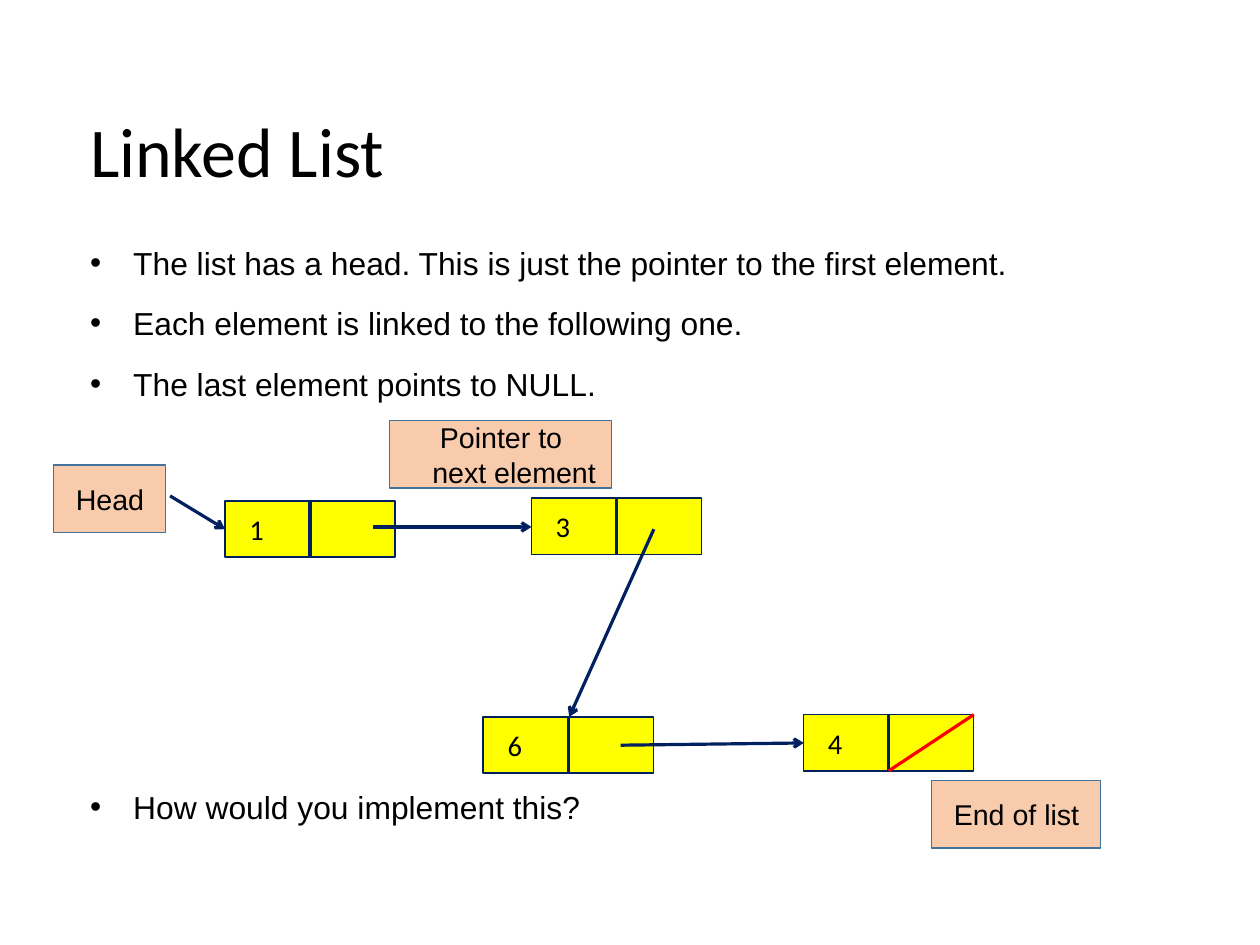
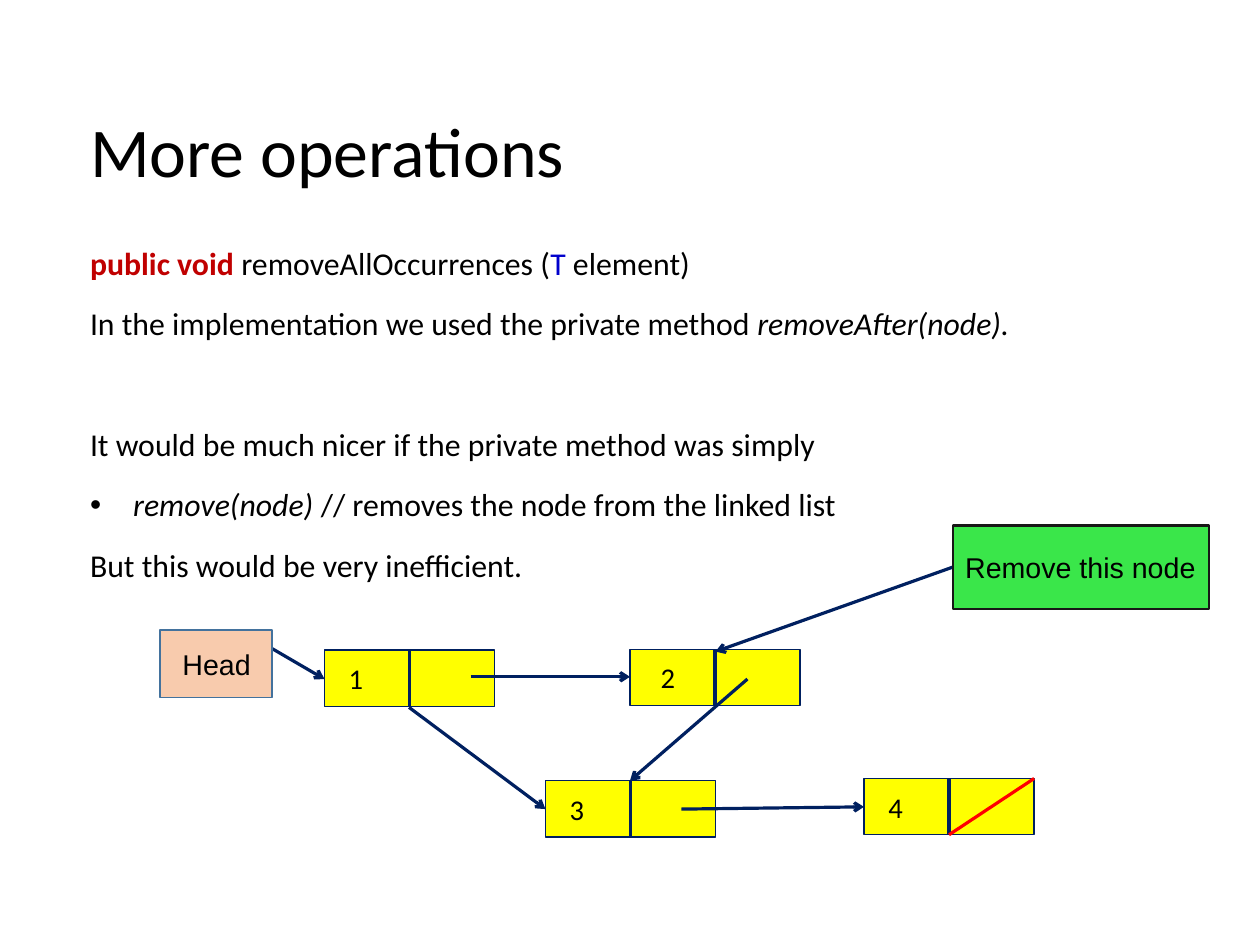
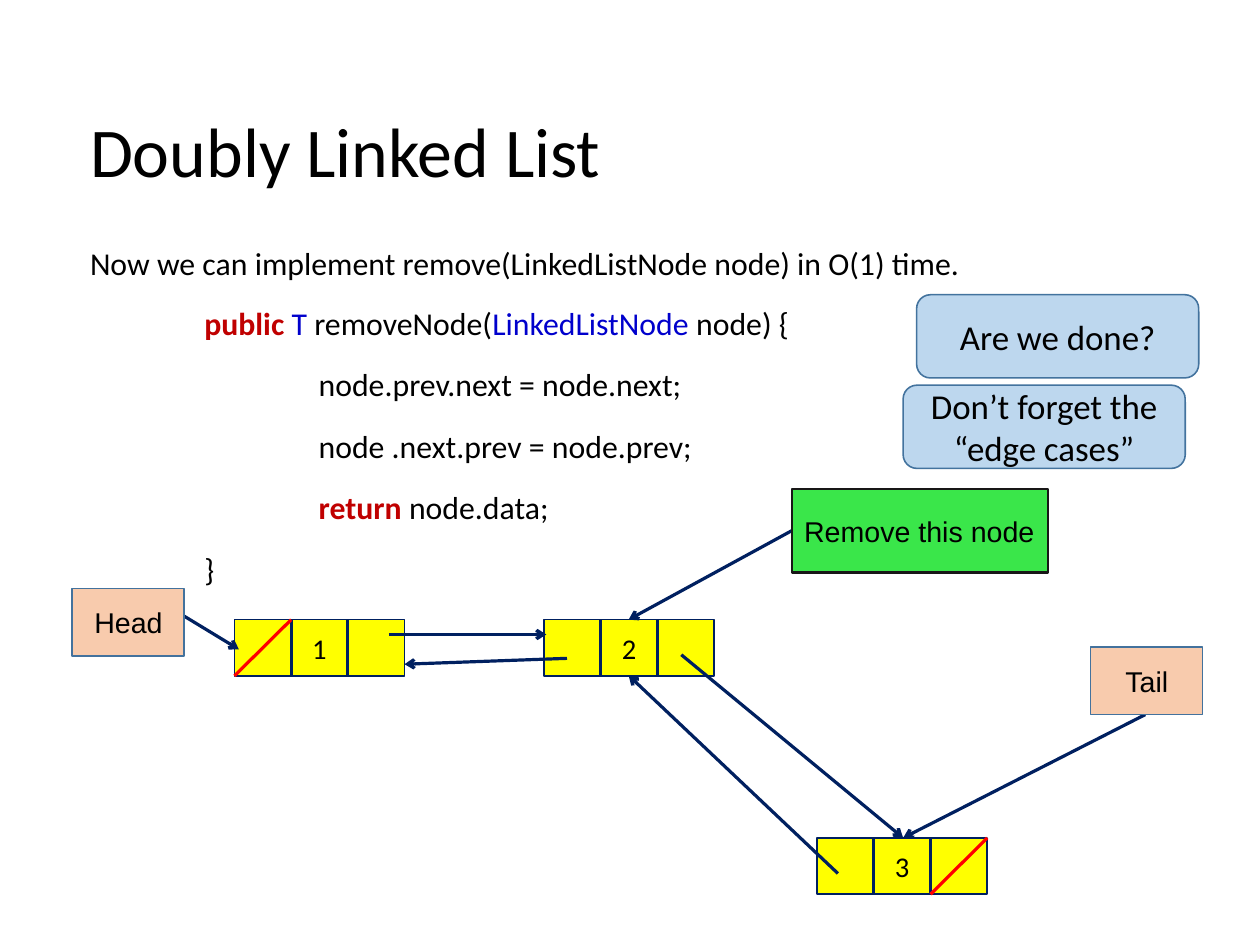
from dataclasses import dataclass

from lxml import etree
from pptx import Presentation
from pptx.dml.color import RGBColor
from pptx.enum.shapes import MSO_CONNECTOR, MSO_SHAPE
from pptx.enum.text import MSO_ANCHOR, MSO_AUTO_SIZE, PP_ALIGN
from pptx.oxml.ns import qn
from pptx.util import Cm, Pt

STRAIGHT = MSO_CONNECTOR.STRAIGHT
RECTANGLE = MSO_SHAPE.RECTANGLE
ROUNDED = MSO_SHAPE.ROUNDED_RECTANGLE
MIDDLE, TOP = MSO_ANCHOR.MIDDLE, MSO_ANCHOR.TOP
LEFT, CENTER = PP_ALIGN.LEFT, PP_ALIGN.CENTER
NO_AUTOFIT = MSO_AUTO_SIZE.NONE


@dataclass(frozen=True)
class Theme:
    black: str = "000000"
    keyword: str = "C00000"
    type_name: str = "0000CC"
    navy: str = "002060"
    null_slash: str = "FF0000"
    node_fill: str = "FFFF00"
    heading_font: str = "Calibri"
    label_font: str = "Arial"
    title_size: float = 44
    body_size: float = 20
    label_size: float = 18
    remark_size: float = 22
    line_height: float = 23.9
    paragraph_gap: float = 14.2
    code_gap: float = 14.8
    connector_width: float = 2


THEME = Theme()
LINE_PITCH = THEME.line_height + THEME.paragraph_gap
NODE_WIDTH, NODE_HEIGHT = 3.78, 1.25
CODE_INDENT = 2.54
BULLET_INDENT = 0.96


@dataclass(frozen=True)
class BoxStyle:
    preset: MSO_SHAPE
    fill: str
    line: str
    line_width: float
    font: str
    size: float
    alignment: PP_ALIGN = CENTER
    hanging: bool = False


NODE = BoxStyle(RECTANGLE, THEME.node_fill, THEME.navy, 1, THEME.heading_font, THEME.label_size)
POINTER = BoxStyle(RECTANGLE, "F8CBAD", "43729D", 1, THEME.label_font, THEME.label_size, hanging=True)
REMOVAL = BoxStyle(RECTANGLE, "3AE64A", "181717", 1.5, THEME.label_font, THEME.label_size, LEFT, True)
REMARK = BoxStyle(ROUNDED, "BDD7EE", "43739E", 1, THEME.heading_font, THEME.remark_size)


@dataclass(frozen=True)
class Run:
    text: str
    color: str = THEME.black
    bold: bool = False
    italic: bool = False


@dataclass(frozen=True)
class Line:
    runs: tuple[Run, ...]
    bullet: bool = False
    indent: float = 0
    skipped_lines: int = 0
    gap: float = THEME.paragraph_gap


@dataclass(frozen=True)
class Node:
    left: float
    top: float
    value: str
    cells: int = 2
    null_cell: int | None = None
    label_inset: float = 0.54


@dataclass(frozen=True)
class Arrow:
    start: tuple[float, float]
    end: tuple[float, float]


@dataclass(frozen=True)
class Callout:
    left: float
    top: float
    text: str
    style: BoxStyle = POINTER
    width: float = 2.49
    height: float = 1.5


@dataclass(frozen=True)
class ListSlide:
    title: str
    lines: tuple[Line, ...]
    nodes: tuple[Node, ...]
    arrows: tuple[Arrow, ...]
    callouts: tuple[Callout, ...]
    body_font: str = THEME.heading_font


def keyword(text: str) -> Run:
    return Run(text, THEME.keyword, bold=True)


def type_name(text: str) -> Run:
    return Run(text, THEME.type_name)


def italic(text: str) -> Run:
    return Run(text, italic=True)


def plain(text: str, bullet: bool = False, skipped_lines: int = 0) -> Line:
    return Line((Run(text),), bullet, skipped_lines=skipped_lines)


def code(depth: int, *runs: Run) -> Line:
    return Line(runs, indent=depth * CODE_INDENT, gap=THEME.code_gap)


def removal(left: float, top: float) -> Callout:
    return Callout(left, top, "Remove this node", REMOVAL, 5.69, 1.85)


def remark(left: float, top: float, text: str) -> Callout:
    return Callout(left, top, text, REMARK, 6.27, 1.85)


def set_font(font, name: str, size: float, color: str = THEME.black) -> None:
    font.name = name
    font.size = Pt(size)
    font.color.rgb = RGBColor.from_string(color)


def set_indent(paragraph, margin: float, first_line: float) -> None:
    properties = paragraph._p.get_or_add_pPr()
    properties.set("marL", str(Cm(margin)))
    properties.set("indent", str(Cm(first_line)))


def place_placeholder(shape, top: float, width: float, height: float, anchor: MSO_ANCHOR) -> None:
    shape.left, shape.top = Cm(2), Cm(top)
    shape.width, shape.height = Cm(width), Cm(height)
    frame = shape.text_frame
    frame.margin_left = frame.margin_right = frame.margin_top = frame.margin_bottom = 0
    frame.vertical_anchor = anchor
    frame.auto_size = NO_AUTOFIT
    frame.word_wrap = True


def write_title(slide, text: str) -> None:
    title = slide.shapes.title
    place_placeholder(title, 1.9, 23.5, 2.84, MIDDLE)
    title.text_frame.text = text
    paragraph = title.text_frame.paragraphs[0]
    paragraph.alignment = LEFT
    set_font(paragraph.font, THEME.heading_font, THEME.title_size)


def write_line(paragraph, line: Line, font_name: str) -> None:
    paragraph.line_spacing = Pt(THEME.line_height)
    paragraph.space_before = Pt(line.skipped_lines * LINE_PITCH)
    paragraph.space_after = Pt(line.gap)
    properties = paragraph._p.get_or_add_pPr()
    if line.bullet:
        set_indent(paragraph, BULLET_INDENT, -BULLET_INDENT)
        etree.SubElement(properties, qn("a:buFont")).set("typeface", THEME.label_font)
        etree.SubElement(properties, qn("a:buChar")).set("char", "•")
    else:
        set_indent(paragraph, line.indent, 0)
        etree.SubElement(properties, qn("a:buNone"))
    set_font(paragraph.font, font_name, THEME.body_size)
    for part in line.runs:
        run = paragraph.add_run()
        run.text = part.text
        if part.color != THEME.black:
            run.font.color.rgb = RGBColor.from_string(part.color)
        if part.bold:
            run.font.bold = True
        if part.italic:
            run.font.italic = True


def write_body(slide, lines: tuple[Line, ...], font_name: str) -> None:
    body = slide.placeholders[1]
    place_placeholder(body, 5.41, 24.59, 13.23, TOP)
    frame = body.text_frame
    for index, line in enumerate(lines):
        paragraph = frame.add_paragraph() if index else frame.paragraphs[0]
        write_line(paragraph, line, font_name)


def draw_box(slide, left: float, top: float, width: float, height: float, text: str, style: BoxStyle):
    shape = slide.shapes.add_shape(style.preset, Cm(left), Cm(top), Cm(width), Cm(height))
    shape.shadow.inherit = False
    shape.fill.solid()
    shape.fill.fore_color.rgb = RGBColor.from_string(style.fill)
    shape.line.color.rgb = RGBColor.from_string(style.line)
    shape.line.width = Pt(style.line_width)
    frame = shape.text_frame
    frame.word_wrap = True
    frame.vertical_anchor = MIDDLE
    frame.text = text
    paragraph = frame.paragraphs[0]
    paragraph.alignment = style.alignment
    if style.hanging:
        set_indent(paragraph, 0.6, -0.58)
    set_font(paragraph.font, style.font, style.size)
    return shape


def draw_line(slide, start: tuple[float, float], end: tuple[float, float],
              color: str = THEME.navy, arrowhead: bool = False) -> None:
    connector = slide.shapes.add_connector(STRAIGHT, *(Cm(value) for value in (*start, *end)))
    connector.line.color.rgb = RGBColor.from_string(color)
    connector.line.width = Pt(THEME.connector_width)
    properties = connector._element.spPr
    if arrowhead:
        etree.SubElement(properties.find(qn("a:ln")), qn("a:tailEnd")).set("type", "arrow")
    etree.SubElement(properties, qn("a:effectLst"))


def draw_node(slide, node: Node) -> None:
    box = draw_box(slide, node.left, node.top, NODE_WIDTH, NODE_HEIGHT, node.value, NODE)
    if node.cells == 2:
        box.text_frame.paragraphs[0].alignment = LEFT
        box.text_frame.margin_left = Cm(node.label_inset)
    bottom = node.top + NODE_HEIGHT
    edges = [node.left + NODE_WIDTH * index / node.cells for index in range(node.cells + 1)]
    for divider in edges[1:-1]:
        draw_line(slide, (divider, node.top), (divider, bottom))
    if node.null_cell is not None:
        cell_left, cell_right = edges[node.null_cell:node.null_cell + 2]
        draw_line(slide, (cell_right, node.top), (cell_left, bottom), THEME.null_slash)


def draw_slide(presentation, content: ListSlide) -> None:
    slide = presentation.slides.add_slide(presentation.slide_layouts[1])
    write_title(slide, content.title)
    write_body(slide, content.lines, content.body_font)
    for node in content.nodes:
        draw_node(slide, node)
    for arrow in content.arrows:
        draw_line(slide, arrow.start, arrow.end, arrowhead=True)
    for callout in content.callouts:
        draw_box(slide, callout.left, callout.top, callout.width, callout.height,
                 callout.text, callout.style)


SLIDES = (
    ListSlide(
        "Linked List",
        (
            plain("The list has a head. This is just the pointer to the first element.", True),
            plain("Each element is linked to the following one.", True),
            plain("The last element points to NULL.", True),
            plain("How would you implement this?", True, skipped_lines=6),
        ),
        (
            Node(5, 11.13, "1"),
            Node(11.81, 11.07, "3"),
            Node(10.74, 15.93, "6"),
            Node(17.86, 15.88, "4", null_cell=1),
        ),
        (
            Arrow((3.78, 11.02), (5, 11.76)),
            Arrow((8.28, 11.71), (11.81, 11.71)),
            Arrow((14.53, 11.76), (12.65, 15.93)),
            Arrow((13.79, 16.56), (17.86, 16.51)),
        ),
        (
            Callout(1.19, 10.34, "Head"),
            Callout(8.66, 9.35, "Pointer to\vnext element", width=4.93),
            Callout(20.7, 17.35, "End of list", width=3.76),
        ),
        THEME.label_font,
    ),
    ListSlide(
        "More operations",
        (
            Line((keyword("public void "), Run("removeAllOccurrences ("), type_name("T"), Run(" element)"))),
            Line((Run("In the implementation we used the private method "), italic("removeAfter(node)."))),
            plain("It would be much nicer if the private method was simply", skipped_lines=1),
            Line((italic("remove(node) "), Run("// removes the node from the linked list")), bullet=True),
            plain("But this would be very inefficient."),
        ),
        (
            Node(7.21, 14.45, "1"),
            Node(14, 14.43, "2", label_inset=0.68),
            Node(12.12, 17.35, "3"),
            Node(19.2, 17.3, "4", null_cell=1),
        ),
        (
            Arrow((5.99, 14.38), (7.21, 15.09)),
            Arrow((10.46, 15.04), (14, 15.04)),
            Arrow((16.61, 15.09), (14, 17.35)),
            Arrow((15.14, 17.98), (19.2, 17.93)),
            Arrow((21.18, 12.6), (15.9, 14.48)),
            Arrow((9.09, 15.72), (12.12, 17.98)),
        ),
        (Callout(3.56, 14, "Head"), removal(21.18, 11.68)),
    ),
    ListSlide(
        "Doubly Linked List",
        (
            plain("Now we can implement remove(LinkedListNode node) in O(1) time."),
            code(1, keyword("public "), type_name("T "), Run("removeNode("),
                 type_name("LinkedListNode"), Run(" node) {")),
            code(2, Run("node.prev.next = node.next;")),
            code(2, Run("node .next.prev = node.prev;")),
            code(2, keyword("return "), Run("node.data;")),
            code(1, Run("}")),
        ),
        (
            Node(5.21, 13.77, "1", cells=3, null_cell=0),
            Node(12.09, 13.77, "2", cells=3),
            Node(18.16, 18.62, "3", cells=3, null_cell=2),
        ),
        (
            Arrow((4.09, 13.69), (5.31, 14.43)),
            Arrow((8.64, 14.1), (12.14, 14.1)),
            Arrow((12.6, 14.63), (8.99, 14.76)),
            Arrow((15.14, 14.55), (20.07, 18.62)),
            Arrow((18.62, 19.41), (13.97, 15.01)),
            Arrow((25.45, 15.88), (20.07, 18.62)),
            Arrow((17.6, 11.79), (13.97, 13.77)),
        ),
        (
            Callout(1.6, 13.08, "Head"),
            Callout(24.23, 14.38, "Tail"),
            removal(17.6, 10.87),
            remark(20.37, 6.55, "Are we done?"),
            remark(20.07, 8.56, "Don’t forget the “edge cases”"),
        ),
    ),
)


def main() -> None:
    presentation = Presentation()
    presentation.slide_width, presentation.slide_height = Cm(28), Cm(21)
    for content in SLIDES:
        draw_slide(presentation, content)
    presentation.save("out.pptx")


if __name__ == "__main__":
    main()
